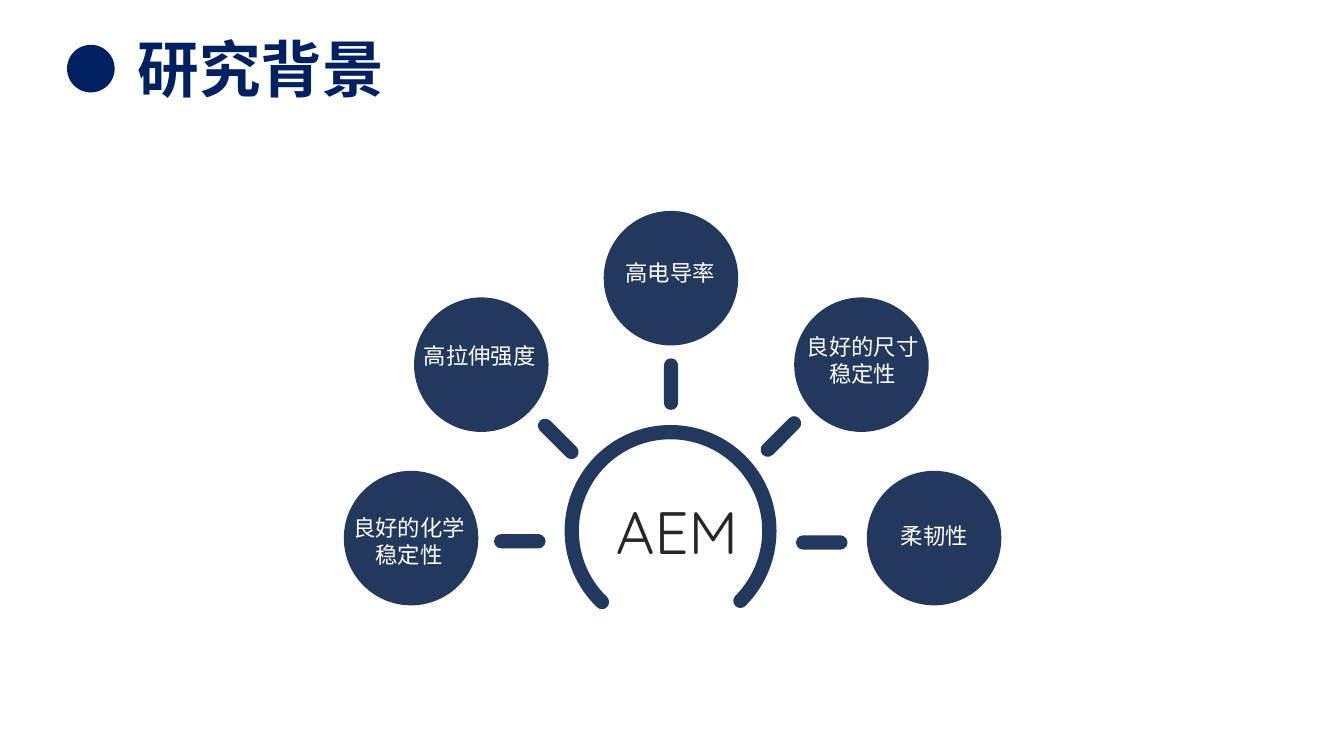
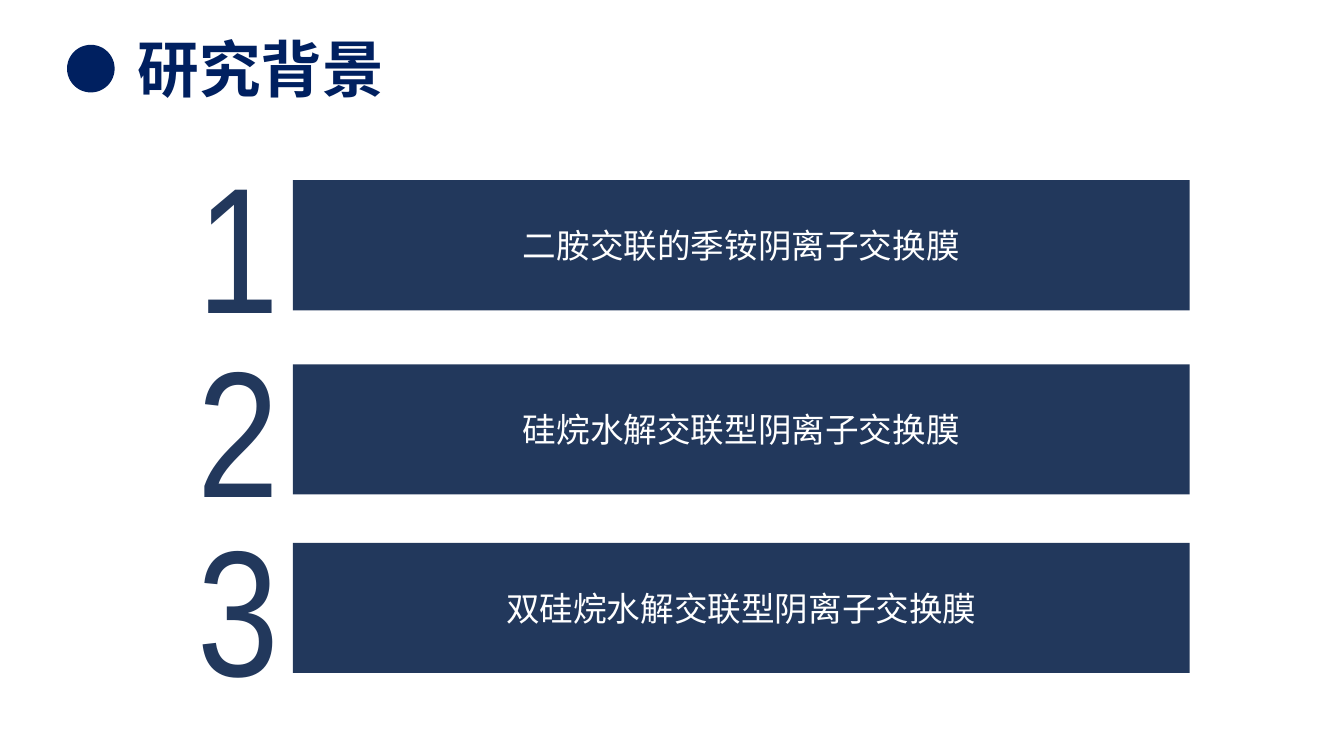
"""Build two slides on the research background of anion exchange membranes."""
from itertools import pairwise
from math import cos, radians, sin, tan

from lxml.etree import SubElement
from pptx import Presentation
from pptx.dml.color import RGBColor
from pptx.enum.shapes import MSO_SHAPE as Preset
from pptx.enum.text import MSO_ANCHOR as Anchor
from pptx.enum.text import MSO_AUTO_SIZE as AutoSize
from pptx.enum.text import PP_ALIGN as Align
from pptx.oxml.ns import qn
from pptx.util import Cm, Pt

TITLE_NAVY = RGBColor(0x00, 0x20, 0x60)
NAVY = RGBColor(0x22, 0x38, 0x5C)
INK = RGBColor(0x26, 0x26, 0x26)
WHITE = RGBColor(0xFF, 0xFF, 0xFF)

CJK_FONT = "Noto Sans CJK SC"
LABEL_FONT = "Quicksand"
NUMBER_FONT = "Arial Narrow"

TITLE = "研究背景"

CIRCLE_SIZE = 3.39
CIRCLES = [(16.91, 7.01), (10.36, 13.56), (12.13, 9.19), (21.71, 9.19), (23.54, 13.56)]
DASHES = [
    (13.1, 13.64, 0),
    (14.07, 11.06, 45),
    (19.68, 11.0, 315),
    (20.71, 13.67, 0),
    (16.91, 9.68, 90),
]
LABELS = [
    (10.31, 13.64, ["良好的化学", "稳定性"]),
    (12.09, 8.96, ["高拉伸强度"]),
    (16.89, 6.87, ["高电导率"]),
    (21.74, 9.09, ["良好的尺寸", "稳定性"]),
    (23.55, 13.5, ["柔韧性"]),
]
MEMBRANES = [
    (2, 9.18, 2.24, "硅烷水解交联型阴离子交换膜"),
    (3, 13.68, 2.24, "双硅烷水解交联型阴离子交换膜"),
    (1, 4.54, 1.63, "二胺交联的季铵阴离子交换膜"),
]


def paint(shape, color):
    """Give a shape a plain fill without line or shadow."""
    shape.shadow.inherit = False
    shape.fill.solid()
    shape.fill.fore_color.rgb = color
    shape.line.fill.background()


def add_block(slide, preset, left, top, width, height, color):
    """Add a plain preset shape, placed in centimetres."""
    shape = slide.shapes.add_shape(preset, Cm(left), Cm(top), Cm(width), Cm(height))
    paint(shape, color)
    return shape


def write(text_frame, lines, font_name, size, color, align=Align.LEFT, bold=False):
    """Write each line as one paragraph with one styled run."""
    for index, line in enumerate(lines):
        paragraph = text_frame.add_paragraph() if index else text_frame.paragraphs[0]
        paragraph.alignment = align
        run = paragraph.add_run()
        run.text = line
        font = run.font
        font.name, font.size, font.bold = font_name, Pt(size), bold
        font.color.rgb = color
        SubElement(run._r.get_or_add_rPr(), qn("a:ea")).set("typeface", font_name)


def add_text(slide, left, top, width, height, lines, *style, wrap=False, **options):
    """Add a text box that grows with its text."""
    box = slide.shapes.add_textbox(Cm(left), Cm(top), Cm(width), Cm(height))
    box.text_frame.word_wrap = wrap
    box.text_frame.auto_size = AutoSize.SHAPE_TO_FIT_TEXT
    write(box.text_frame, lines, *style, **options)


def add_title(slide):
    """Add the round marker and the slide title."""
    add_block(slide, Preset.OVAL, 1.69, 1.13, 1.2, 1.2, TITLE_NAVY)
    add_text(slide, 3.22, 0.66, 9.37, 2.13, [TITLE], CJK_FONT, 44, TITLE_NAVY,
             wrap=True, bold=True)


def on_circle(center, radius, angle):
    """Return the point of a circle at an angle in degrees."""
    turn = radians(angle)
    return center[0] + radius * cos(turn), center[1] + radius * sin(turn)


def arc_curves(center, radius, angles):
    """Return control and end points of the curves through the given angles."""
    points = []
    for start, end in pairwise(angles):
        reach = 4 / 3 * tan(radians(end - start) / 4) * radius
        first, last = (on_circle(center, radius, angle) for angle in (start, end))
        points += [on_circle(first, reach, start + 90),
                   on_circle(last, -reach, end + 90), last]
    return points


def bend(shape):
    """Turn every three line segments of a freeform into one cubic curve."""
    segments = list(shape._element.iter(qn("a:lnTo")))
    for group in zip(*[iter(segments)] * 3):
        curve = group[0].makeelement(qn("a:cubicBezTo"))
        group[0].addprevious(curve)
        for segment in group:
            curve.append(segment[0])
            segment.getparent().remove(segment)


def add_open_ring(slide, center, radius, thickness, angles):
    """Add an open ring with rounded ends."""
    half = thickness / 2
    start, end = angles[0], angles[-1]
    outline = (
        arc_curves(center, radius + half, angles)
        + arc_curves(on_circle(center, radius, end), half, [end, end + 90, end + 180])
        + arc_curves(center, radius - half, angles[::-1])
        + arc_curves(on_circle(center, radius, start), half,
                     [start + 180, start + 270, start + 360])
    )
    points = [(Cm(x), Cm(y)) for x, y in outline]
    builder = slide.shapes.build_freeform(*points[-1])
    builder.add_line_segments(points, close=True)
    ring = builder.convert_to_shape()
    bend(ring)
    paint(ring, NAVY)


def add_dash(slide, center_x, center_y, angle):
    """Add a rounded dash turned around its centre."""
    width, height = 1.3, 0.36
    dash = add_block(slide, Preset.ROUNDED_RECTANGLE, center_x - width / 2,
                     center_y - height / 2, width, height, NAVY)
    dash.adjustments[0] = 0.5
    dash.rotation = angle


def add_circle(slide, center_x, center_y):
    """Add a filled circle around its centre."""
    add_block(slide, Preset.OVAL, center_x - CIRCLE_SIZE / 2, center_y - CIRCLE_SIZE / 2,
              CIRCLE_SIZE, CIRCLE_SIZE, NAVY)


def add_label(slide, center_x, center_y, lines):
    """Add a white label around its centre."""
    width = 0.51 + 0.57 * len(lines[0])
    height = 0.25 + 0.69 * len(lines)
    add_text(slide, center_x - width / 2, center_y - height / 2, width, height,
             lines, LABEL_FONT, 16, WHITE, align=Align.CENTER)


def add_membrane(slide, number, top, number_width, name):
    """Add a numbered bar naming one membrane type."""
    bar = add_block(slide, Preset.RECTANGLE, 7.38, top, 22.6, 3.28, NAVY)
    bar.text_frame.word_wrap = True
    bar.text_frame.vertical_anchor = Anchor.MIDDLE
    write(bar.text_frame, [name], CJK_FONT, 24, WHITE, align=Align.CENTER)
    add_text(slide, 4.74, top - 1.28, number_width, 5.74, [str(number)],
             NUMBER_FONT, 128, NAVY)


def add_slide(presentation):
    """Add a blank slide with the shared title."""
    slide = presentation.slides.add_slide(presentation.slide_layouts[6])
    add_title(slide)
    return slide


def build_properties(presentation):
    """Build the slide of wanted membrane properties."""
    slide = add_slide(presentation)
    for circle in CIRCLES:
        add_circle(slide, *circle)
    add_open_ring(slide, (16.9, 13.38), 2.49, 0.36, [134, 180, 270, 360, 405])
    for dash in DASHES:
        add_dash(slide, *dash)
    add_text(slide, 14.96, 12.34, 3.89, 2.08, ["AEM"], LABEL_FONT, 42.7, INK,
             align=Align.RIGHT)
    for label in LABELS:
        add_label(slide, *label)


def build_membranes(presentation):
    """Build the slide of membrane types."""
    slide = add_slide(presentation)
    for membrane in MEMBRANES:
        add_membrane(slide, *membrane)


def main():
    """Build and save the presentation."""
    presentation = Presentation()
    presentation.slide_width, presentation.slide_height = Cm(33.87), Cm(19.05)
    build_properties(presentation)
    build_membranes(presentation)
    presentation.save("out.pptx")


main()
